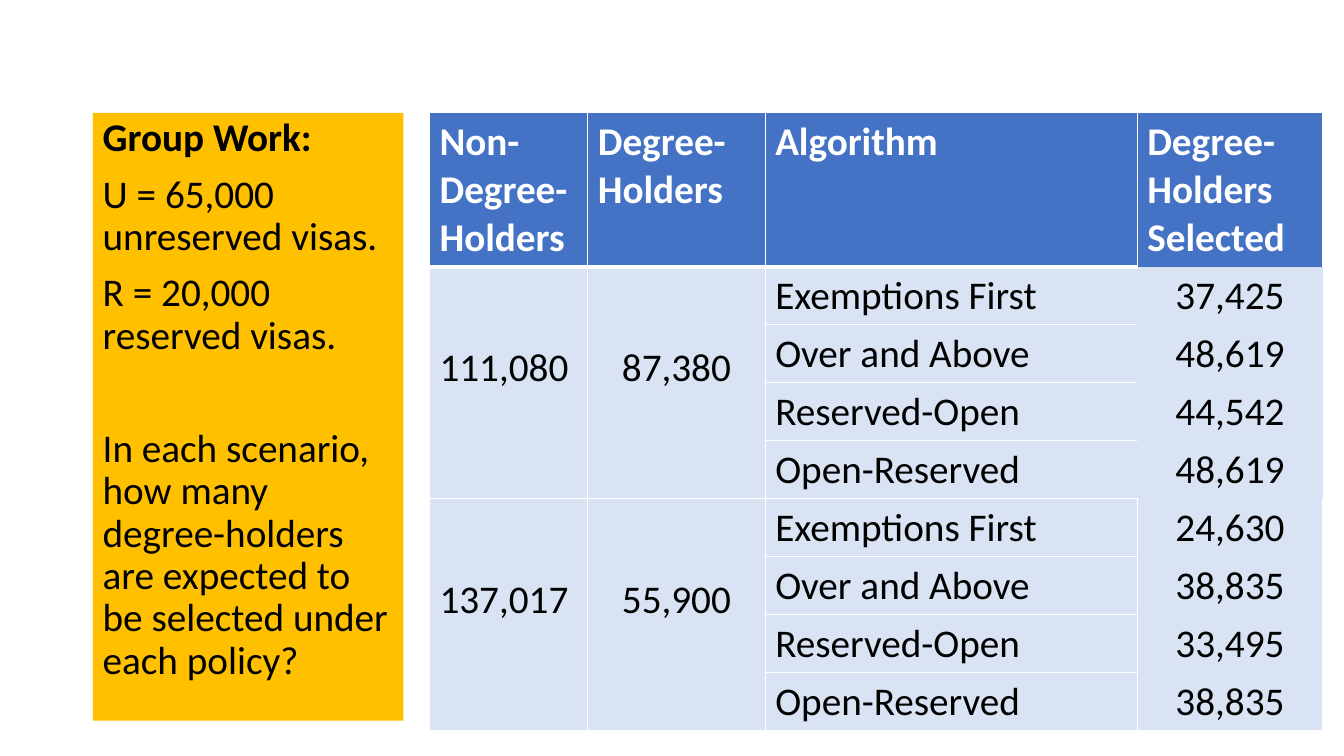
"""Build the visa-selection group work slide with its table of policies."""
from pptx import Presentation
from pptx.dml.color import RGBColor
from pptx.enum.shapes import MSO_SHAPE
from pptx.enum.text import MSO_ANCHOR, PP_ALIGN
from pptx.oxml.ns import qn
from pptx.util import Inches, Pt
from lxml import etree

LEFT, CENTER = PP_ALIGN.LEFT, PP_ALIGN.CENTER
TOP, MIDDLE = MSO_ANCHOR.TOP, MSO_ANCHOR.MIDDLE
RECTANGLE = MSO_SHAPE.RECTANGLE

TASK_TITLE = "Group Work:"
TASK_LINES = [
    ("U = 65,000 unreserved visas.", 10),
    ("R = 20,000 reserved visas.", 10),
    ("In each scenario, how many degree-holders are expected to be "
     "selected under each policy?", 50.7),
]
HEADINGS = ["Non-Degree-Holders", "Degree-Holders", "Algorithm",
            "Degree-Holders Selected"]
ALGORITHMS = ["Exemptions First", "Over and Above", "Reserved-Open",
              "Open-Reserved"]
SCENARIOS = [
    ("111,080", "87,380", ["37,425", "48,619", "44,542", "48,619"]),
    ("137,017", "55,900", ["24,630", "38,835", "33,495", "38,835"]),
]

THEME = {
    "font": "Calibri", "size": 28, "text": "000000", "light": "FFFFFF",
    "panel": "FFC000", "header": "4472C4", "body": "DAE3F3",
    "rule": 1, "header_rule": 3,
}
SLIDE_SIZE = (13.33, 7.5)
PANEL_BOX = (0.92, 1.12, 3.08, 6.03)
TABLE_LEFT, TABLE_TOP = 4.26, 1.12
COLUMN_WIDTHS = [1.57, 1.76, 3.69, 1.84]
HEADER_HEIGHT, ROW_HEIGHT = 1.52, 0.57
ALL_SIDES = "LRTB"


def color(name):
    return RGBColor.from_string(THEME[name])


def write(paragraph, text, fill="text", bold=False, align=LEFT, before=0,
          spacing=1.0):
    paragraph.alignment = align
    paragraph.space_before = Pt(before)
    paragraph.line_spacing = spacing
    run = paragraph.add_run()
    run.text = text
    run.font.name = THEME["font"]
    run.font.size = Pt(THEME["size"])
    run.font.bold = bold
    run.font.color.rgb = color(fill)


def style_cell(cell, fill, sides, bottom="rule"):
    properties = cell._tc.get_or_add_tcPr()
    for side in ALL_SIDES:
        width = THEME[bottom if side == "B" else "rule"]
        line = etree.SubElement(properties, qn(f"a:ln{side}"), w=str(Pt(width)))
        if side in sides:
            solid = etree.SubElement(line, qn("a:solidFill"))
            etree.SubElement(solid, qn("a:srgbClr"), val=THEME["light"])
        else:
            etree.SubElement(line, qn("a:noFill"))
    cell.fill.solid()
    cell.fill.fore_color.rgb = color(fill)


def add_task_panel(slide):
    panel = slide.shapes.add_shape(RECTANGLE, *map(Inches, PANEL_BOX))
    panel.shadow.inherit = False
    panel.fill.solid()
    panel.fill.fore_color.rgb = color("panel")
    panel.line.fill.background()
    frame = panel.text_frame
    frame.word_wrap = True
    frame.vertical_anchor = TOP
    write(frame.paragraphs[0], TASK_TITLE, bold=True, spacing=0.9)
    for text, before in TASK_LINES:
        write(frame.add_paragraph(), text, before=before, spacing=0.9)


def add_policy_table(slide):
    group = len(ALGORITHMS)
    body_rows = group * len(SCENARIOS)
    table = slide.shapes.add_table(
        body_rows + 1, len(HEADINGS), Inches(TABLE_LEFT), Inches(TABLE_TOP),
        Inches(sum(COLUMN_WIDTHS)),
        Inches(HEADER_HEIGHT + body_rows * ROW_HEIGHT)).table
    table.horz_banding = False
    for column, width in zip(table.columns, COLUMN_WIDTHS):
        column.width = Inches(width)
    for index, row in enumerate(table.rows):
        row.height = Inches(ROW_HEIGHT if index else HEADER_HEIGHT)

    selected = len(HEADINGS) - 1
    for column, heading in enumerate(HEADINGS):
        cell = table.cell(0, column)
        style_cell(cell, "header", "LRT" if column == selected else ALL_SIDES,
                   bottom="header_rule")
        write(cell.text_frame.paragraphs[0], heading, fill="light", bold=True)

    for number, (non_holders, holders, results) in enumerate(SCENARIOS):
        first = 1 + number * group
        last = first + group - 1
        algorithm_sides, result_sides = (ALL_SIDES, "LR") if number else ("LTB", "")
        for row, algorithm, result in zip(range(first, last + 1), ALGORITHMS, results):
            end = "B" if row == body_rows else ""
            row_sides = [ALL_SIDES, ALL_SIDES, algorithm_sides, result_sides + end]
            for column, sides in enumerate(row_sides):
                style_cell(table.cell(row, column), "body", sides)
            write(table.cell(row, 2).text_frame.paragraphs[0], algorithm)
            write(table.cell(row, 3).text_frame.paragraphs[0], result, align=CENTER)
        for column, (count, align) in enumerate([(non_holders, LEFT), (holders, CENTER)]):
            cell = table.cell(first, column)
            cell.merge(table.cell(last, column))
            cell.vertical_anchor = MIDDLE
            cell.margin_bottom = Inches(0.35)
            write(cell.text_frame.paragraphs[0], count, align=align)


def main():
    deck = Presentation()
    deck.slide_width, deck.slide_height = map(Inches, SLIDE_SIZE)
    slide = deck.slides.add_slide(deck.slide_layouts[6])
    add_task_panel(slide)
    add_policy_table(slide)
    deck.save("out.pptx")


if __name__ == "__main__":
    main()
